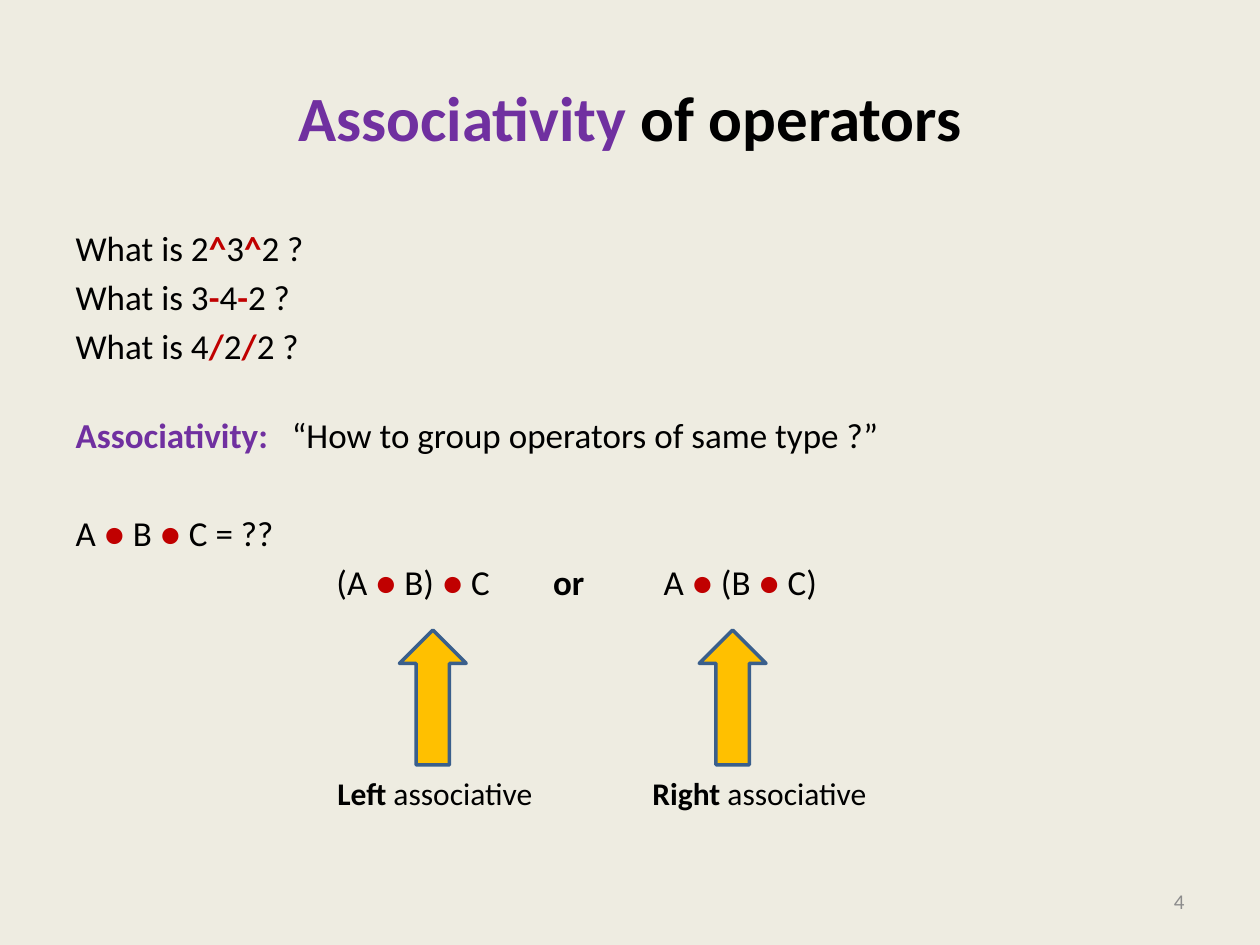
from lxml import etree
from pptx import Presentation
from pptx import util as u
from pptx.dml.color import RGBColor as Rgb
from pptx.enum import shapes, text
from pptx.oxml.ns import qn

theme = {
    "back": "EEECE1", "fill": "FFC000", "edge": "3A5F8C",
    "face": "Calibri",
    "head": 36, "body": 20, "label": 18, "foot": 12,
    "role": {
        "ink": ("000000", False),
        "bold": ("000000", True),
        "key": ("7030A0", True),
        "op": ("C00000", True),
        "dot": ("C00000", False),
        "page": ("8C8C8C", False),
    },
}

deck = Presentation()
deck.slide_width, deck.slide_height = u.Inches(10), u.Inches(7.5)
slide = deck.slides.add_slide(deck.slide_layouts[1])
slide.background.fill.solid()
slide.background.fill.fore_color.rgb = Rgb.from_string(theme["back"])


def box(x, y, w, h):
    wide, high = deck.slide_width / 100, deck.slide_height / 100
    return [int(n) for n in (x * wide, y * high, w * wide, h * high)]


def write(par, size, bits):
    for role, words, *track in bits:
        tint, bold = theme["role"][role]
        run = par.add_run()
        run.text = words
        look = {"name": theme["face"], "size": u.Pt(theme[size]), "bold": bold}
        for name, val in look.items():
            setattr(run.font, name, val)
        run.font.color.rgb = Rgb.from_string(tint)
        for pts in track:
            run._r.get_or_add_rPr().set("spc", str(round(pts * 100)))


title, body = slide.placeholders
for hold, place in ((title, box(5, 4, 90, 16.67)), (body, box(5, 23.33, 90, 66))):
    for name, val in zip(("left", "top", "width", "height"), place):
        setattr(hold, name, val)
    hold.text_frame.auto_size = text.MSO_AUTO_SIZE.NONE

write(title.text_frame.paragraphs[0], "head",
      [("key", "Associativity"), ("bold", " of operators")])

sums = [("2", "^", "3", "2"), ("3", "-", "4", "2"), ("4", "/", "2", "2")]
lines = [
    (4, 0, [("ink", "What is " + a), ("op", op), ("ink", b), ("op", op), ("ink", c + " ?")])
    for a, op, b, c in sums
]
lines += [
    (26.5, 0, [("key", "Associativity:"), ("key", " ", 9),
               ("ink", "“How to group operators of same type ?”")]),
    (32, 0, [("ink", "A "), ("dot", "●"), ("ink", " B "), ("dot", "●"), ("ink", " C = ??")]),
    (4, 2.07, [
        ("ink", "(A "), ("dot", "● "), ("ink", "B) "), ("dot", "● "), ("ink", "C"),
        ("ink", " ", 31.6), ("bold", "or"), ("ink", " ", 40.7),
        ("ink", "A "), ("dot", "● "), ("ink", "(B "), ("dot", "● "), ("ink", "C)")]),
]
frame = body.text_frame
for i, (gap, inset, bits) in enumerate(lines):
    par = frame.add_paragraph() if i else frame.paragraphs[0]
    par.space_before = u.Pt(gap)
    prop = par._p.get_or_add_pPr()
    prop.set("marL", str(u.Inches(inset)))
    prop.set("indent", "0")
    etree.SubElement(prop, qn("a:buNone"))
    write(par, "body", bits)

sides = [("Left", 31.7, 25.8, 17.7), ("Right", 55.5, 50.8, 19)]
for side, x, left, wide in sides:
    group = slide.shapes.add_group_shape()
    arrow = group.shapes.add_shape(shapes.MSO_SHAPE.UP_ARROW, *box(x, 66.67, 5.3, 14.27))
    arrow.shadow.inherit = False
    arrow.fill.solid()
    arrow.fill.fore_color.rgb = Rgb.from_string(theme["fill"])
    arrow.line.color.rgb = Rgb.from_string(theme["edge"])
    arrow.line.width = u.Pt(2)
    label = group.shapes.add_textbox(*box(left, 81.2, wide, 5.33)).text_frame
    label.word_wrap = False
    label.auto_size = text.MSO_AUTO_SIZE.SHAPE_TO_FIT_TEXT
    write(label.paragraphs[0], "label", [("bold", side), ("ink", " associative")])

foot = slide.shapes.add_textbox(*box(71.7, 92.67, 23.3, 5.33)).text_frame
foot.word_wrap = True
foot.vertical_anchor = text.MSO_ANCHOR.MIDDLE
foot.paragraphs[0].alignment = text.PP_ALIGN.RIGHT
write(foot.paragraphs[0], "foot", [("page", "4")])

deck.save("out.pptx")
